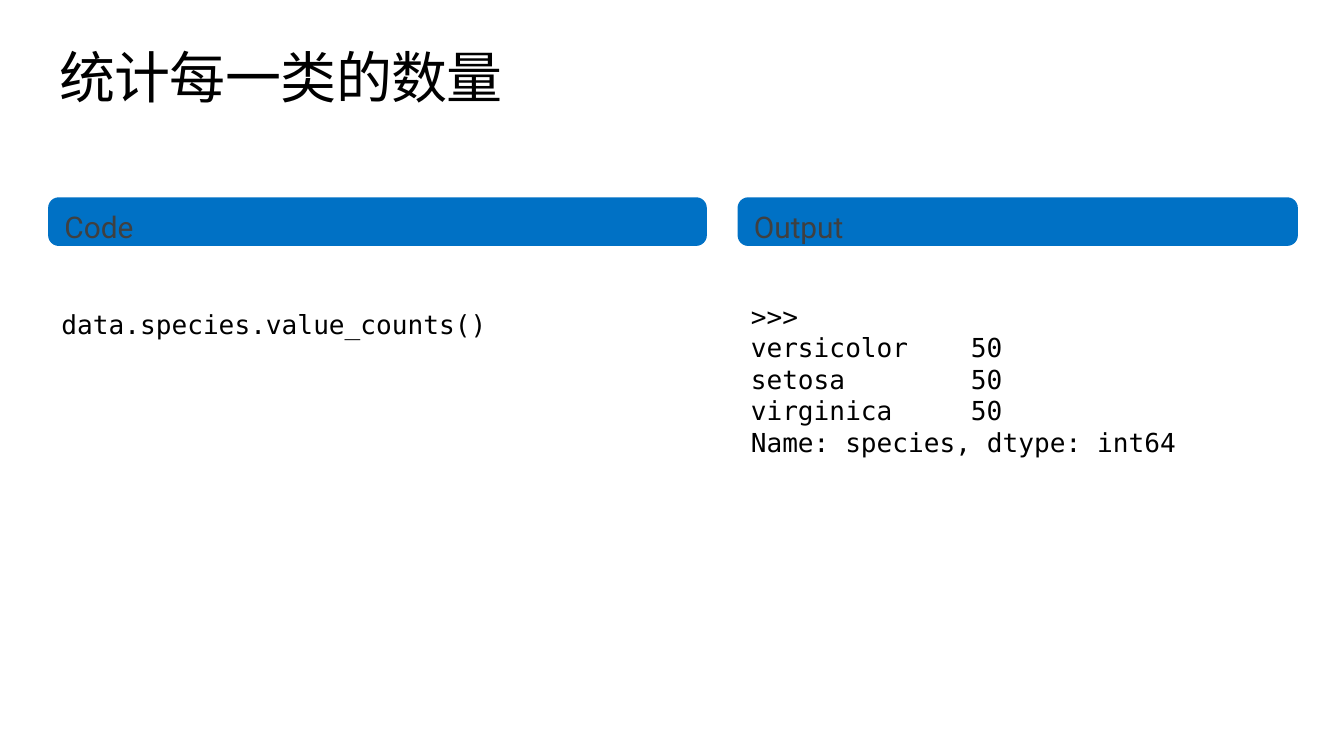
from lxml import etree
from pptx import Presentation
from pptx.dml.color import RGBColor
from pptx.enum.shapes import MSO_SHAPE
from pptx.enum.text import MSO_ANCHOR, PP_ALIGN
from pptx.oxml.ns import qn
from pptx.util import Cm, Pt

ROUNDED = MSO_SHAPE.ROUNDED_RECTANGLE
TOP = MSO_ANCHOR.TOP
LEFT = PP_ALIGN.LEFT

COLORS = {"bar": "0071C5", "label": "404040", "text": "000000"}
SANS, MONO = "Roboto", "DejaVu Sans Mono"

TITLE = "统计每一类的数量"
CODE = ["data.species.value_counts()"]
OUTPUT = [
    ">>>",
    "versicolor\t50",
    "setosa\t50",
    "virginica\t50",
    "Name: species, dtype: int64",
]

# Panels: label, left, bar width, lines, text top, text width, text height (cm)
PANELS = [
    ("Code", 0.91, 12.45, CODE, 5.69, 12.65, 1.45),
    ("Output", 13.94, 10.59, OUTPUT, 5.54, 9.17, 3.94),
]
BAR_TOP, BAR_HEIGHT = 3.73, 0.92
COUNT_TAB = 4.16


def write(shape, lines, font=SANS, size=14, color="text", margins=(0.25, 0.13),
          line_spacing=None, tab=None, tracking=None):
    """Fill a shape with one paragraph per line; margins are (side, top) in cm."""
    frame = shape.text_frame
    frame.word_wrap = True
    frame.vertical_anchor = TOP
    frame.margin_left = frame.margin_right = Cm(margins[0])
    frame.margin_top, frame.margin_bottom = Cm(margins[1]), 0
    for index, line in enumerate(lines):
        paragraph = frame.add_paragraph() if index else frame.paragraphs[0]
        paragraph.alignment = LEFT
        if line_spacing:
            paragraph.line_spacing = Pt(line_spacing)
        if tab and "\t" in line:
            stops = etree.SubElement(paragraph._p.get_or_add_pPr(), qn("a:tabLst"))
            etree.SubElement(stops, qn("a:tab"), pos=str(Cm(tab)), algn="l")
        run = paragraph.add_run()
        run.text = line
        run.font.name = font
        run.font.size = Pt(size)
        run.font.color.rgb = RGBColor.from_string(COLORS[color])
        if tracking:
            run.font._element.set("spc", str(round(tracking * 100)))


def add_title(slide):
    title = slide.shapes.title
    title.left, title.top, title.width, title.height = Cm(1.12), Cm(0.81), Cm(23.44), Cm(1.27)
    write(title, [TITLE], size=30, margins=(0, 0), tracking=-0.3)


def add_panel(slide, label, left, bar_width, lines, top, width, height):
    bar = slide.shapes.add_shape(ROUNDED, Cm(left), Cm(BAR_TOP), Cm(bar_width), Cm(BAR_HEIGHT))
    bar.adjustments[0] = 0.22
    bar.shadow.inherit = False
    bar.fill.solid()
    bar.fill.fore_color.rgb = RGBColor.from_string(COLORS["bar"])
    bar.line.fill.background()
    write(bar, [label], size=16, color="label", margins=(0.25, 0.16))

    box = slide.shapes.add_textbox(Cm(left), Cm(top), Cm(width), Cm(height))
    write(box, lines, font=MONO, line_spacing=16.9, tab=COUNT_TAB)


def main():
    presentation = Presentation()
    presentation.slide_width, presentation.slide_height = Cm(25.4), Cm(14.29)
    slide = presentation.slides.add_slide(presentation.slide_layouts[5])
    add_title(slide)
    for panel in PANELS:
        add_panel(slide, *panel)
    presentation.save("out.pptx")


if __name__ == "__main__":
    main()
